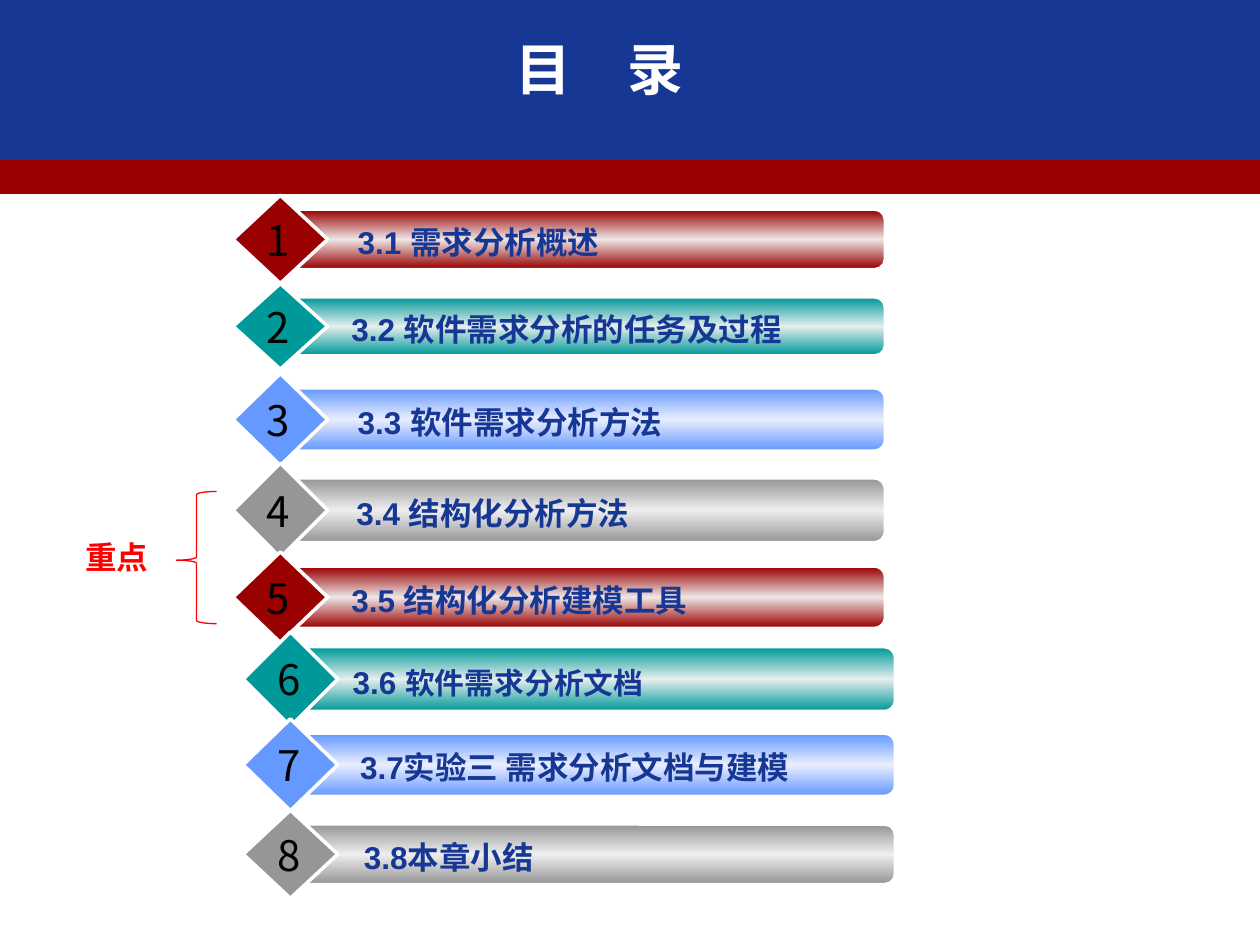
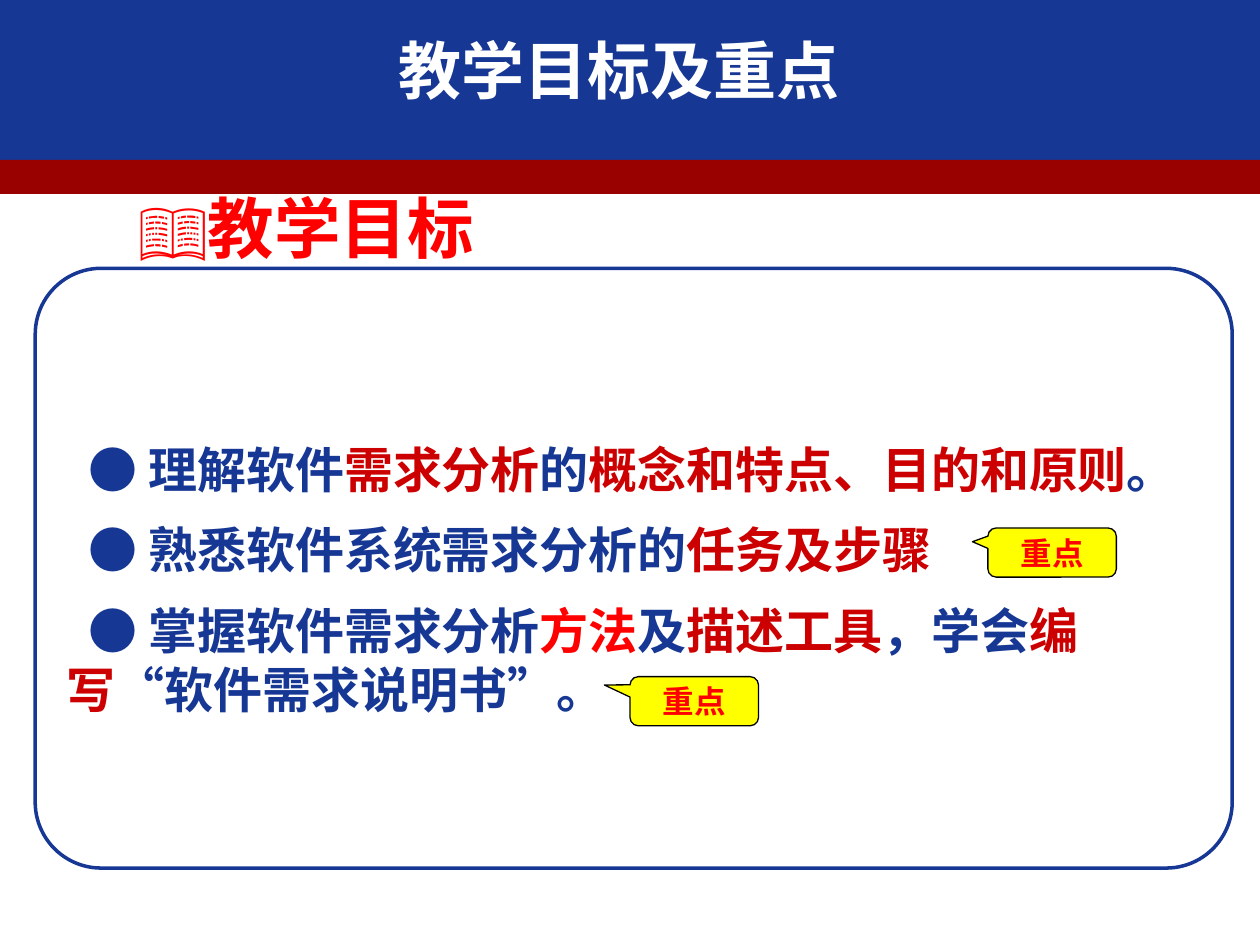
"""Build the contents slide and the teaching goals slide."""
from copy import deepcopy
from dataclasses import dataclass
from itertools import cycle

from lxml.etree import SubElement
from pptx import Presentation
from pptx.dml.color import RGBColor
from pptx.enum.shapes import MSO_SHAPE
from pptx.enum.text import MSO_ANCHOR, PP_ALIGN
from pptx.oxml.ns import qn
from pptx.util import Inches, Pt

NAVY, CRIMSON, WHITE, BLACK = "163794", "990000", "FFFFFF", "000000"
RED, DARK_RED, YELLOW = "FF0000", "CC0000", "FFFF00"
EAST_ASIAN = "Noto Sans CJK SC"
BAR_COLOURS = [(CRIMSON, "EEE6E6"), ("009999", "E6EEEE"),
               ("6699FF", "E9EEFF"), ("969696", "EEEEEE")]


@dataclass(frozen=True)
class Style:
    """Font settings of a paragraph."""
    size: float
    colour: str
    font: str = "Arial"
    bold: bool = True
    align: PP_ALIGN = PP_ALIGN.LEFT


@dataclass(frozen=True)
class Entry:
    """One row of the contents list, in inches."""
    section: str
    title: str
    left: float
    middle: float
    height: float
    text_left: float
    title_size: float = 18


@dataclass(frozen=True)
class Callout:
    """One key-point callout with the position of its tip."""
    left: float
    top: float
    tip_x: float
    tip_y: float


ENTRIES = [
    Entry("3.1 ", "需求分析概述", 1.85, 1.9, 0.7, 2.74),
    Entry("3.2 ", "软件需求分析的任务及过程", 1.85, 2.59, 0.68, 2.69),
    Entry("3.3 ", "软件需求分析方法", 1.85, 3.33, 0.73, 2.74),
    Entry("3.4 ", "结构化分析方法", 1.85, 4.05, 0.75, 2.73),
    Entry("3.5 ", "结构化分析建模工具", 1.85, 4.74, 0.72, 2.69),
    Entry("3.6 ", "软件需求分析文档", 1.93, 5.39, 0.75, 2.7, 17),
    Entry("3.7", "实验三 需求分析文档与建模", 1.93, 6.07, 0.73, 2.76),
    Entry("3.8", "本章小结", 1.93, 6.78, 0.7, 2.79),
]
GOALS = [
    [("● 理解软件", NAVY), ("需求分析", DARK_RED), ("的", NAVY),
     ("概念和特点、目的和原则", DARK_RED), ("。", NAVY)],
    [("● 熟悉软件系统需求分析的", NAVY), ("任务及步骤", DARK_RED)],
    [("● 掌握软件需求分析", NAVY), ("方法", RED), ("及", NAVY),
     ("描述工具", DARK_RED), ("，学会", NAVY), ("编写", DARK_RED),
     ("“软件需求说明书”。", NAVY)],
]
CALLOUTS = [Callout(7.84, 4.19, -0.62, -0.22), Callout(5, 5.37, -0.7, -0.33)]

SECTION = Style(18, NAVY)
NUMBER = Style(24, BLACK, EAST_ASIAN, False, PP_ALIGN.CENTER)
KEY_POINT = Style(18, RED)
CALLOUT = Style(18, RED, "Montserrat", align=PP_ALIGN.CENTER)
HEADING = Style(38, RED)
GOAL = Style(28, NAVY)


def rgb(colour: str) -> RGBColor:
    """Turn a hex string into a colour."""
    return RGBColor.from_string(colour)


def apply_style(p, style: Style) -> None:
    """Set the font and alignment of a paragraph."""
    p.alignment = style.align
    p.font.size, p.font.bold = Pt(style.size), style.bold
    p.font.color.rgb = rgb(style.colour)
    p.font.name = style.font
    props = p._p.get_or_add_pPr().find(qn("a:defRPr"))
    SubElement(props, qn("a:ea")).set("typeface", EAST_ASIAN)


def add_run(p, text: str):
    """Append a run to a paragraph and return it."""
    r = p.add_run()
    r.text = text
    return r


def add_label(s, text: str, box: tuple, style: Style, wrap: bool = False):
    """Add a vertically centred text box and return its paragraph."""
    tf = s.shapes.add_textbox(*map(Inches, box)).text_frame
    tf.word_wrap = wrap
    tf.vertical_anchor = MSO_ANCHOR.MIDDLE
    p = tf.paragraphs[0]
    apply_style(p, style)
    add_run(p, text)
    return p


def add_figure(s, kind: MSO_SHAPE, box: tuple, fill: str = "",
               line: str = "", width: float = 1, adjust: tuple = ()):
    """Add a preset shape without a shadow."""
    sp = s.shapes.add_shape(kind, *map(Inches, box))
    sp.shadow.inherit = False
    for i, value in enumerate(adjust):
        sp.adjustments[i] = value
    if fill:
        sp.fill.solid()
        sp.fill.fore_color.rgb = rgb(fill)
    else:
        sp.fill.background()
    if line:
        sp.line.color.rgb = rgb(line)
        sp.line.width = Pt(width)
    else:
        sp.line.fill.background()
    return sp


def fill_gradient(sp, edge: str, centre: str) -> None:
    """Fill a shape from edge colour to centre colour and back."""
    sp.fill.gradient()
    sp.fill.gradient_angle = 90
    first = sp.fill._fill._gradFill.gsLst[0]
    first.addnext(deepcopy(first))
    stops = zip(sp.fill.gradient_stops, (0, 0.5, 1), (edge, centre, edge))
    for stop, position, colour in stops:
        stop.position = position
        stop.color.rgb = rgb(colour)


def add_slide(prs, title: str, box: tuple, size: float):
    """Add a blank slide with the title bands and the title."""
    s = prs.slides.add_slide(prs.slide_layouts[6])
    add_figure(s, MSO_SHAPE.RECTANGLE, (0, 0, 10, 1.29), NAVY)
    add_figure(s, MSO_SHAPE.RECTANGLE, (0, 1.27, 10, 0.27), CRIMSON)
    style = Style(size, WHITE, "DejaVu Sans", align=PP_ALIGN.CENTER)
    add_label(s, title, box, style, wrap=True)
    return s


def add_entry(s, number: int, e: Entry, edge: str, centre: str) -> None:
    """Draw one contents row: bar, diamond, section title and number."""
    bar_height = e.height * 2 / 3
    bar = add_figure(s, MSO_SHAPE.ROUNDED_RECTANGLE,
                     (e.left + 0.42, e.middle - bar_height / 2, 4.75, bar_height),
                     edge, WHITE)
    fill_gradient(bar, edge, centre)
    add_figure(s, MSO_SHAPE.DIAMOND,
               (e.left, e.middle - e.height / 2, 0.75, e.height), edge, WHITE, 2)
    p = add_label(s, e.section, (e.text_left, e.middle - 0.18, 4.2, 0.4),
                  SECTION, wrap=True)
    title = add_run(p, e.title)
    if e.title_size != SECTION.size:
        title.font.size = Pt(e.title_size)
    add_label(s, str(number), (e.left + 0.17, e.middle - 0.25, 0.38, 0.5), NUMBER)


def build_contents(prs) -> None:
    """Build the contents slide."""
    s = add_slide(prs, "目　录", (3.58, 0.25, 2.36, 0.58), 32)
    for number, (entry, colours) in enumerate(zip(ENTRIES, cycle(BAR_COLOURS)), 1):
        add_entry(s, number, entry, *colours)
    add_figure(s, MSO_SHAPE.LEFT_BRACE, (1.4, 3.9, 0.32, 1.05),
               line=RED, width=0.75, adjust=(0.08, 0.52))
    add_label(s, "重点", (0.58, 4.22, 0.71, 0.4), KEY_POINT)


def add_goals(s) -> None:
    """Draw the rounded panel with the teaching goals."""
    panel = add_figure(s, MSO_SHAPE.ROUNDED_RECTANGLE, (0.28, 2.13, 9.5, 4.76),
                       WHITE, NAVY, 2, (0.11,))
    tf = panel.text_frame
    tf.word_wrap = True
    tf.vertical_anchor = MSO_ANCHOR.TOP
    tf.margin_top = Inches(1.2)
    for i, goal in enumerate(GOALS):
        p = tf.add_paragraph() if i else tf.paragraphs[0]
        apply_style(p, GOAL)
        p.line_spacing, p.space_after = Pt(34), Pt(12)
        p._p.get_or_add_pPr().set("indent", str(Inches(0.17)))
        for text, colour in goal:
            add_run(p, text).font.color.rgb = rgb(colour)


def add_callout(s, c: Callout) -> None:
    """Draw one key-point callout."""
    sp = add_figure(s, MSO_SHAPE.ROUNDED_RECTANGULAR_CALLOUT,
                    (c.left, c.top, 1.02, 0.39), YELLOW, BLACK, 0.75,
                    (c.tip_x, c.tip_y, 0.17))
    sp.text_frame.vertical_anchor = MSO_ANCHOR.MIDDLE
    p = sp.text_frame.paragraphs[0]
    apply_style(p, CALLOUT)
    add_run(p, "重点").font.color.rgb = rgb(RED)


def build_goals(prs) -> None:
    """Build the teaching goals slide."""
    s = add_slide(prs, "教学目标及重点", (1.33, 0.26, 7.17, 0.58), 36)
    add_goals(s)
    for callout in CALLOUTS:
        add_callout(s, callout)
    add_label(s, "📖教学目标", (1, 1.43, 3, 0.74), HEADING)


def main() -> None:
    """Build and save the presentation."""
    prs = Presentation()
    prs.slide_width, prs.slide_height = Inches(10), Inches(7.5)
    build_contents(prs)
    build_goals(prs)
    prs.save("out.pptx")


if __name__ == "__main__":
    main()
